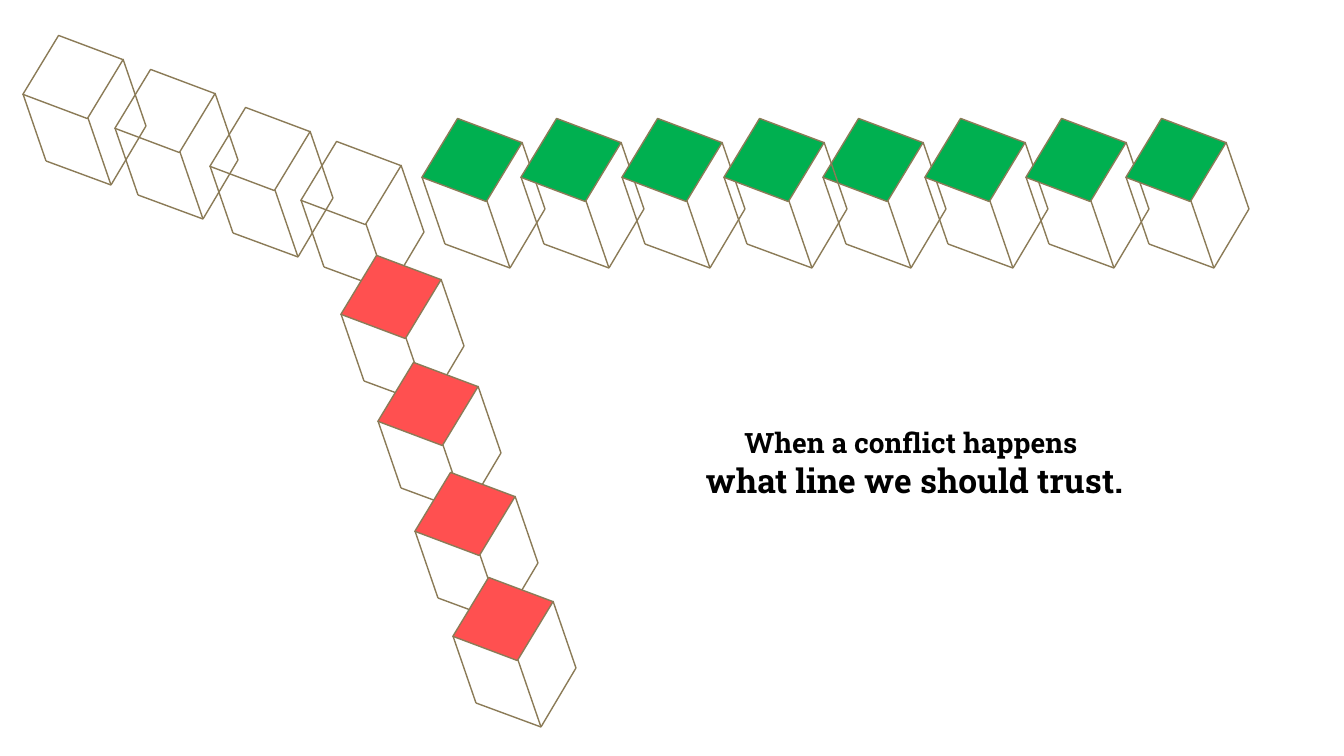
import pptx
import pptx.util
import pptx.dml.color
import pptx.enum.shapes
import pptx.enum.text
import pptx.oxml

# Content: rows of cubes as (top colour, top-left corners in px), back to front
CUBE_ROWS = [
    (None, [(20, 33), (112, 67), (207, 105), (298, 139)]),
    ("FF5050", [(338, 253), (375, 360), (412, 470), (450, 575)]),
    ("00B050", [(x, 116) for x in (419, 518, 619, 820, 721, 922, 1023, 1123)]),
]
MESSAGE = [("When a conflict happens ", 20), ("what line we should trust.", 24)]
MESSAGE_BOX = (651, 421, 527, 85)
FONT = "Roboto Slab"
EDGE_COLOUR = "8B7B57"

# Cube geometry in px, measured from the corner of its top face
TOP_WIDTH, TOP_HEIGHT, TOP_ROTATION = 106, 88, 340.9
TOP_CORNERS = [(3, 61), (68, 85), (103, 26)]
DROP_X, DROP_Y = 23, 67
FEET = [(x + DROP_X, y + DROP_Y) for x, y in TOP_CORNERS]
EDGES = list(zip(TOP_CORNERS, FEET)) + list(zip(FEET, FEET[1:]))


def px(length):
    return pptx.util.Emu(round(length * 914400 / 100.8))


def colour(value):
    return pptx.dml.color.RGBColor.from_string(value)


def style_line(line):
    line.color.rgb = colour(EDGE_COLOUR)
    line.width = pptx.util.Pt(1)


def add_cube(slide, left, top, fill):
    cube = slide.shapes.add_group_shape()
    face = cube.shapes.add_shape(
        pptx.enum.shapes.MSO_SHAPE.DIAMOND,
        px(left), px(top), px(TOP_WIDTH), px(TOP_HEIGHT))
    face.rotation = TOP_ROTATION
    face.shadow.inherit = False
    if fill:
        face.fill.solid()
        face.fill.fore_color.rgb = colour(fill)
    else:
        face.fill.background()
    style_line(face.line)
    for (x1, y1), (x2, y2) in EDGES:
        edge = cube.shapes.add_connector(
            pptx.enum.shapes.MSO_CONNECTOR.STRAIGHT,
            px(left + x1), px(top + y1), px(left + x2), px(top + y2))
        style_line(edge.line)
        edge._element.spPr.append(pptx.oxml.parse_xml(
            '<a:effectLst xmlns:a="http://schemas.openxmlformats.org/drawingml/2006/main"/>'))


def add_message(slide):
    box = slide.shapes.add_textbox(*map(px, MESSAGE_BOX))
    frame = box.text_frame
    frame.word_wrap = True
    frame.auto_size = pptx.enum.text.MSO_AUTO_SIZE.SHAPE_TO_FIT_TEXT
    frame.text = "\n".join(text for text, size in MESSAGE)
    for para, (text, size) in zip(frame.paragraphs, MESSAGE):
        para.alignment = pptx.enum.text.PP_ALIGN.CENTER
        for span in para.runs:
            span.font.name = FONT
            span.font.size = pptx.util.Pt(size)
            span.font.bold = True
            span.font.color.rgb = colour("000000")


def main():
    deck = pptx.Presentation()
    deck.slide_width, deck.slide_height = px(1344), px(756)
    slide = deck.slides.add_slide(deck.slide_layouts.get_by_name("Blank"))

    # Lines of cubes
    for fill, corners in CUBE_ROWS:
        for left, top in corners:
            add_cube(slide, left, top, fill)

    # Message
    add_message(slide)
    deck.save("out.pptx")


if __name__ == "__main__":
    main()
